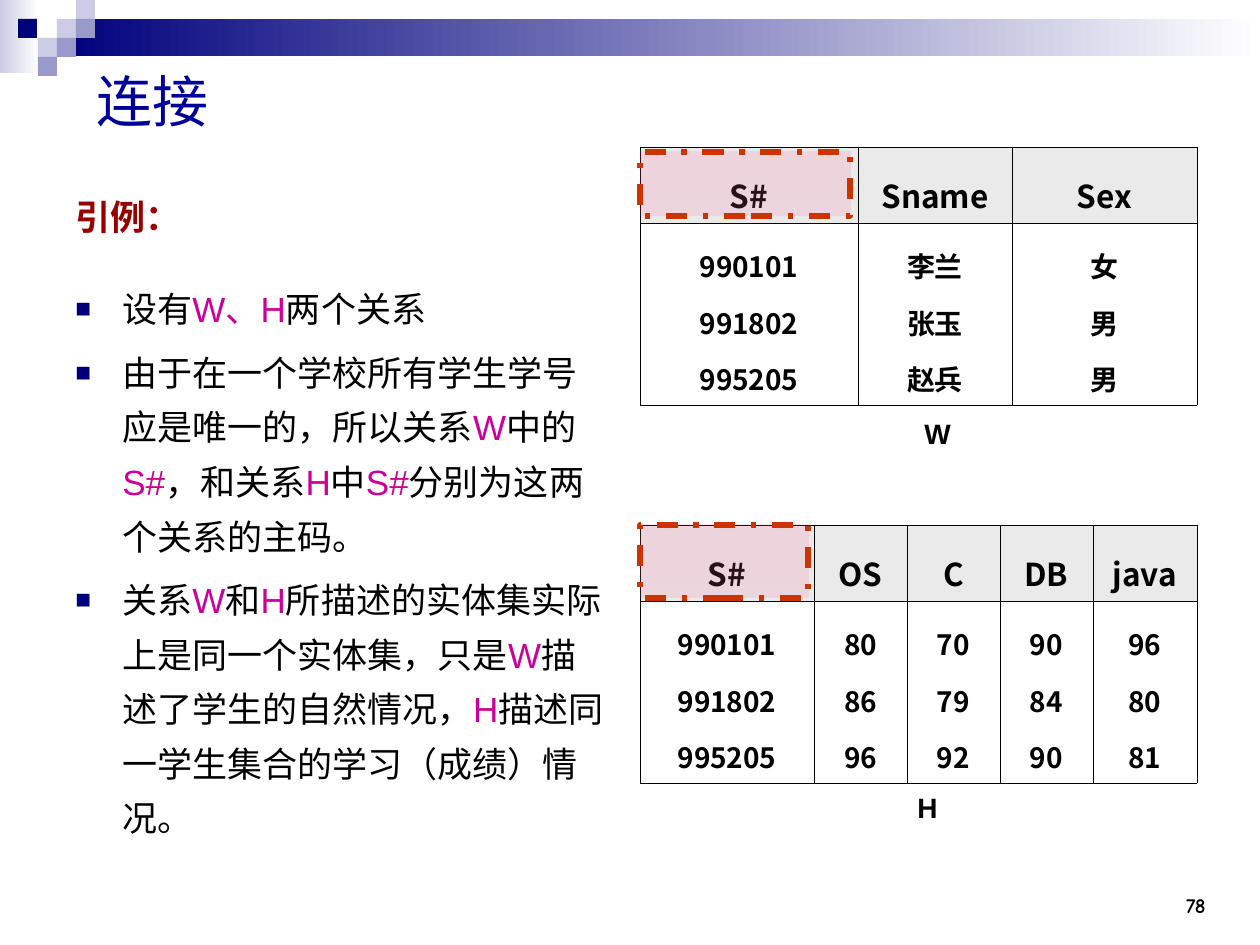
from lxml.etree import SubElement
from pptx import Presentation
from pptx.dml.color import RGBColor
from pptx.enum.dml import MSO_LINE
from pptx.enum.shapes import MSO_SHAPE
from pptx.enum.text import MSO_ANCHOR, PP_ALIGN
from pptx.oxml.ns import qn
from pptx.util import Pt

PX = 914400 / 126
COLORS = {
    "navy": "00007D", "pale": "CCCCE6", "mid": "9999CC", "white": "FFFFFF",
    "title": "000099", "lead": "990000", "key": "CC0099", "black": "000000",
    "head": "EAEAEA", "mark": "FF6699", "dash": "CC3300",
}
CJK = "Noto Sans CJK SC"
ROW_HEIGHTS = [76, 182]
POINTS = [
    (2, "设有|W、H|两个关系"),
    (1.3, "由于在一个学校所有学生学号应是唯一的，所以关系|W|中的|S#|，和关系|H|中|S#|分别为这两个关系的主码。"),
    (1.3, "关系|W|和|H|所描述的实体集实际上是同一个实体集，只是|W|描述了学生的自然情况，|H|描述同一学生集合的学习（成绩）情况。"),
]
STUDENTS = {
    "S#": ["990101", "991802", "995205"],
    "Sname": ["李兰", "张玉", "赵兵"],
    "Sex": ["女", "男", "男"],
}
GRADES = {
    "S#": ["990101", "991802", "995205"],
    "OS": ["80", "86", "96"],
    "C": ["70", "79", "92"],
    "DB": ["90", "84", "90"],
    "java": ["96", "80", "81"],
}


def px(*values):
    """Turn px lengths into EMU."""
    return [round(v * PX) for v in values]


def rgb(name):
    """Look up a named colour."""
    return RGBColor.from_string(COLORS[name])


def style(r, size, font, color, bold=False):
    """Format one run, with the East Asian face set as well."""
    r.font.size, r.font.name, r.font.bold = Pt(size), font, bold
    r.font.color.rgb = rgb(color)
    SubElement(r.font._element, qn("a:ea")).set("typeface", CJK)


def add_rect(s, x, y, w, h):
    """Add a plain rectangle without shadow or outline."""
    sp = s.shapes.add_shape(MSO_SHAPE.RECTANGLE, *px(x, y, w, h))
    sp.shadow.inherit = False
    sp.line.fill.background()
    return sp


def add_gradient(sp, start, end, angle=0):
    """Fill a shape with a two-colour gradient."""
    sp.fill.gradient()
    sp.fill.gradient_angle = angle
    for stop, color in zip(sp.fill.gradient_stops, (start, end)):
        stop.color.rgb = rgb(color)


def add_text(s, box, text, size, font, color, bold=False, anchor=MSO_ANCHOR.MIDDLE,
             align=PP_ALIGN.LEFT, wrap=True):
    """Add a text box holding one styled line."""
    tf = s.shapes.add_textbox(*px(*box)).text_frame
    tf.word_wrap, tf.vertical_anchor = wrap, anchor
    p = tf.paragraphs[0]
    p.text, p.alignment = text, align
    style(p.runs[0], size, font, color, bold)
    return tf


def add_banner(s, x, y, w):
    """Draw the fading bar and the mosaic of squares."""
    add_gradient(add_rect(s, x, y, 39, 73), "pale", "white")
    add_gradient(add_rect(s, x + 57, y + 19, w - 57, 37), "navy", "white")
    squares = [(57, 19, "pale"), (76, 0, "pale"), (76, 19, "mid"), (38, 38, "pale"),
               (18, 19, "navy"), (57, 38, "mid"), (38, 57, "mid")]
    for dx, dy, color in squares:
        sp = add_rect(s, x + dx, y + dy, 19, 19)
        sp.fill.solid()
        sp.fill.fore_color.rgb = rgb(color)


def add_bullet(p):
    """Give a paragraph a small square bullet."""
    pPr = p._p.get_or_add_pPr()
    SubElement(SubElement(pPr, qn("a:buClr")), qn("a:srgbClr")).set("val", COLORS["navy"])
    SubElement(pPr, qn("a:buSzPct")).set("val", "75000")
    SubElement(pPr, qn("a:buFont")).set("typeface", "Arial")
    SubElement(pPr, qn("a:buChar")).set("char", "■")


def add_body(s, x, y, w, h):
    """Write the lead-in and the bulleted points."""
    tf = add_text(s, (x, y, w, h), "引例：", 20, "Comic Neue", "lead", True, MSO_ANCHOR.TOP)
    tf.paragraphs[0].line_spacing = 2.0
    for spacing, text in POINTS:
        p = tf.add_paragraph()
        add_bullet(p)
        pPr = p._p.get_or_add_pPr()
        indent, = px(47)
        pPr.set("marL", str(indent))
        pPr.set("indent", str(-indent))
        p.line_spacing, p.space_before = float(spacing), Pt(5)
        for i, part in enumerate(text.split("|")):
            r = p.add_run()
            r.text = part
            style(r, 20, "Arial", "key" if i % 2 else "black")


def add_borders(cell):
    """Draw thin black lines around a cell."""
    tcPr = cell._tc.get_or_add_tcPr()
    for side in ("lnL", "lnR", "lnT", "lnB"):
        ln = SubElement(tcPr, qn(f"a:{side}"), w=str(Pt(0.45)))
        fill = SubElement(ln, qn("a:solidFill"))
        SubElement(fill, qn("a:srgbClr")).set("val", COLORS["black"])


def fill_cell(cell, lines, size, color=None):
    """Write centred lines into a cell."""
    add_borders(cell)
    if color:
        cell.fill.solid()
        cell.fill.fore_color.rgb = rgb(color)
    else:
        cell.fill.background()
    cell.text_frame.text = "\n".join(lines)
    for p in cell.text_frame.paragraphs:
        p.alignment, p.line_spacing = PP_ALIGN.CENTER, 1.4
        style(p.runs[0], size, CJK, "black", True)


def add_relation(s, x, y, widths, data):
    """Build a relation table with one header row and one row of stacked values."""
    frame = s.shapes.add_table(2, len(data), *px(x, y, sum(widths), sum(ROW_HEIGHTS)))
    table = frame.table
    table.first_row = table.horz_banding = False
    for row, height in zip(table.rows, px(*ROW_HEIGHTS)):
        row.height = height
    for i, (name, values) in enumerate(data.items()):
        table.columns[i].width, = px(widths[i])
        fill_cell(table.cell(0, i), [name], 18, "head")
        fill_cell(table.cell(1, i), values, 16)


def add_key_mark(s, x, y, w, h):
    """Highlight a key column header with a translucent dashed box."""
    sp = add_rect(s, x, y, w, h)
    add_gradient(sp, "mark", "mark", 270)
    for color, alpha in zip(sp._element.iter(qn("a:srgbClr")), (17, 16)):
        SubElement(color, qn("a:alpha")).set("val", str(alpha * 1000))
    sp.line.color.rgb = rgb("dash")
    sp.line.width, sp.line.dash_style = Pt(3), MSO_LINE.DASH_DOT


def main():
    """Build the slide and save it."""
    prs = Presentation()
    prs.slide_width, prs.slide_height = px(1260, 945)
    s = prs.slides.add_slide(prs.slide_layouts[6])
    add_banner(s, 0, 0, 1260)
    add_text(s, (1113, 861, 105, 63), "78", 12, "Comic Neue", "black", True,
             MSO_ANCHOR.BOTTOM, PP_ALIGN.RIGHT)
    add_text(s, (84, 53, 1134, 95), "连接", 32, "Comic Neue", "title")
    add_body(s, 63, 147, 557, 735)
    add_relation(s, 640, 147, [218, 154, 185], STUDENTS)
    add_relation(s, 640, 525, [174, 93, 93, 93, 104], GRADES)
    add_text(s, (912, 410, 62, 47), "W", 16, "Arial", "black", True, wrap=False)
    add_text(s, (905, 780, 58, 55), "H", 16, "Arial", "black", True, wrap=False)
    add_key_mark(s, 640, 152, 210, 64)
    add_key_mark(s, 640, 525, 168, 73)
    prs.save("out.pptx")


if __name__ == "__main__":
    main()
